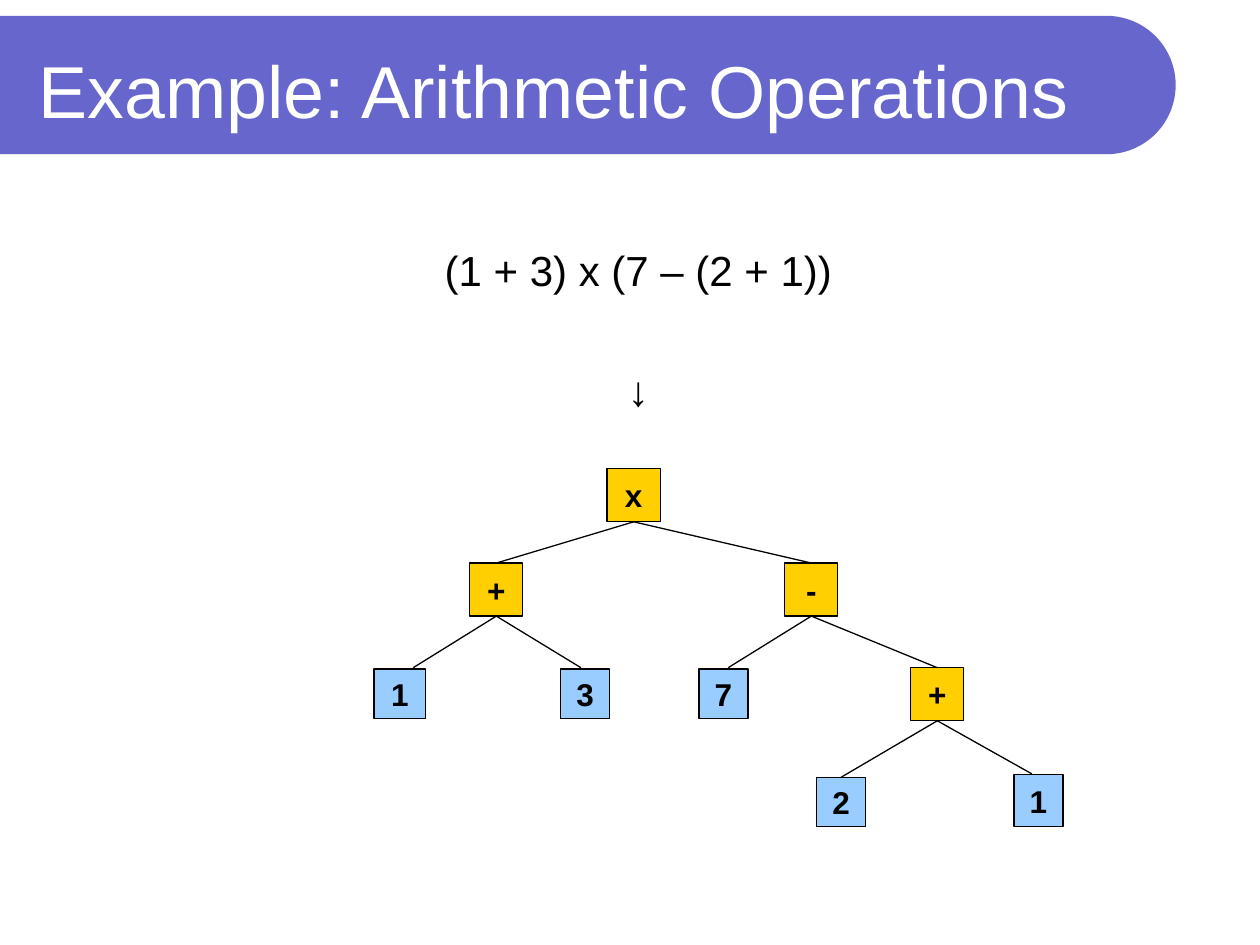
from lxml.etree import SubElement
from pptx import Presentation
from pptx.dml.color import RGBColor
from pptx.enum.shapes import MSO_CONNECTOR, MSO_SHAPE
from pptx.enum.text import MSO_ANCHOR, MSO_AUTO_SIZE, PP_ALIGN
from pptx.oxml.ns import qn
from pptx.util import Cm, Pt

BANNER = RGBColor(0x66, 0x66, 0xCC)
OPERATOR = RGBColor(0xFF, 0xCF, 0x01)
OPERAND = RGBColor(0x99, 0xCC, 0xFF)
WHITE = RGBColor(0xFF, 0xFF, 0xFF)
BLACK = RGBColor(0, 0, 0)
FONT = "Arial"
BOTTOM, TOP = 2, 0
NODE = 1.07

NODES = {
    "times": ("x", OPERATOR, 4.7, 0, NODE, NODE),
    "left plus": ("+", OPERATOR, 1.93, 1.9, NODE, NODE),
    "minus": ("-", OPERATOR, 8.28, 1.9, NODE, NODE),
    "right plus": ("+", OPERATOR, 10.82, 4.01, NODE, NODE),
    "left one": ("1", OPERAND, 0, 4.04, 1.04, 0.99),
    "three": ("3", OPERAND, 3.76, 4.04, 0.99, 0.99),
    "seven": ("7", OPERAND, 6.55, 4.04, 0.99, 0.99),
    "two": ("2", OPERAND, 8.92, 6.22, 0.99, 0.99),
    "right one": ("1", OPERAND, 12.9, 6.17, 0.99, 1.04),
}
JOINED_BRANCHES = [
    ("times", "left plus"),
    ("times", "minus"),
    ("minus", "right plus"),
    ("right plus", "two"),
]
FREE_BRANCHES = [
    ("left plus", 0.79, 4.01),
    ("left plus", 4.17, 4.01),
    ("minus", 7.14, 4.01),
    ("right plus", 13.26, 6.15),
]


def add_run(paragraph, text, size, color, bold=False):
    run = paragraph.add_run()
    run.text = text
    run.font.name = FONT
    run.font.size = Pt(size)
    run.font.bold = bold
    run.font.color.rgb = color


def add_title(slide, left, top, width, height):
    banner = slide.shapes.add_shape(
        MSO_SHAPE.ROUND_2_SAME_RECTANGLE,
        Cm(left + (width - height) / 2), Cm(top + (height - width) / 2),
        Cm(height), Cm(width))
    banner.rotation = 90
    banner.adjustments[0] = 0.5
    banner.shadow.inherit = False
    banner.fill.solid()
    banner.fill.fore_color.rgb = BANNER
    banner.line.fill.background()

    title = slide.shapes.title
    title.left, title.top = Cm(left + 0.53), Cm(top + 0.2)
    title.width, title.height = Cm(22.28), Cm(2.54)
    title.element.addprevious(banner.element)
    frame = title.text_frame
    frame.auto_size = MSO_AUTO_SIZE.NONE
    frame.vertical_anchor = MSO_ANCHOR.MIDDLE
    heading = frame.paragraphs[0]
    heading.alignment = PP_ALIGN.LEFT
    add_run(heading, "Example: Arithmetic Operations", 42, WHITE)


def add_expression(slide, left, top, width, height):
    expression = slide.shapes.add_textbox(Cm(left), Cm(top), Cm(width), Cm(height))
    frame = expression.text_frame
    frame.word_wrap = True
    frame.margin_top = Cm(1.4)
    formula = frame.paragraphs[0]
    arrow = frame.add_paragraph()
    arrow.space_before = Pt(40)
    for paragraph, text in ((formula, "(1 + 3) x (7 – (2 + 1))"), (arrow, "↓")):
        paragraph.alignment = PP_ALIGN.CENTER
        add_run(paragraph, text, 24, BLACK)


def add_node(slide, symbol, color, left, top, width, height):
    node = slide.shapes.add_shape(
        MSO_SHAPE.RECTANGLE, Cm(left), Cm(top), Cm(width), Cm(height))
    node.shadow.inherit = False
    node.fill.solid()
    node.fill.fore_color.rgb = color
    node.line.color.rgb = BLACK
    node.line.width = Pt(0.75)
    frame = node.text_frame
    frame.word_wrap = False
    frame.margin_left = frame.margin_right = 0
    frame.margin_top = frame.margin_bottom = 0
    frame.vertical_anchor = MSO_ANCHOR.MIDDLE
    label = frame.paragraphs[0]
    label.alignment = PP_ALIGN.CENTER
    add_run(label, symbol, 18, BLACK, bold=True)
    return node


def add_branch(slide, parent, end_x, end_y):
    branch = slide.shapes.add_connector(
        MSO_CONNECTOR.STRAIGHT, parent.left + parent.width // 2,
        parent.top + parent.height, end_x, end_y)
    branch.begin_connect(parent, BOTTOM)
    branch.line.color.rgb = BLACK
    branch.line.width = Pt(0.75)
    SubElement(branch.element.spPr, qn("a:effectLst"))
    return branch


def add_tree(slide, left, top):
    nodes = {
        key: add_node(slide, symbol, color, left + x, top + y, width, height)
        for key, (symbol, color, x, y, width, height) in NODES.items()
    }
    for parent, child in JOINED_BRANCHES:
        target = nodes[child]
        branch = add_branch(
            slide, nodes[parent], target.left + target.width // 2, target.top)
        branch.end_connect(target, TOP)
    for parent, x, y in FREE_BRANCHES:
        add_branch(slide, nodes[parent], Cm(left + x), Cm(top + y))


def main():
    deck = Presentation()
    deck.slide_width, deck.slide_height = Cm(25.4), Cm(19.05)
    slide = deck.slides.add_slide(deck.slide_layouts.get_by_name("Title Only"))
    add_title(slide, 0, 0.32, 23.7, 2.79)
    add_expression(slide, 1.07, 3.53, 23.6, 14.6)
    add_tree(slide, 7.54, 9.45)
    deck.save("out.pptx")


if __name__ == "__main__":
    main()
